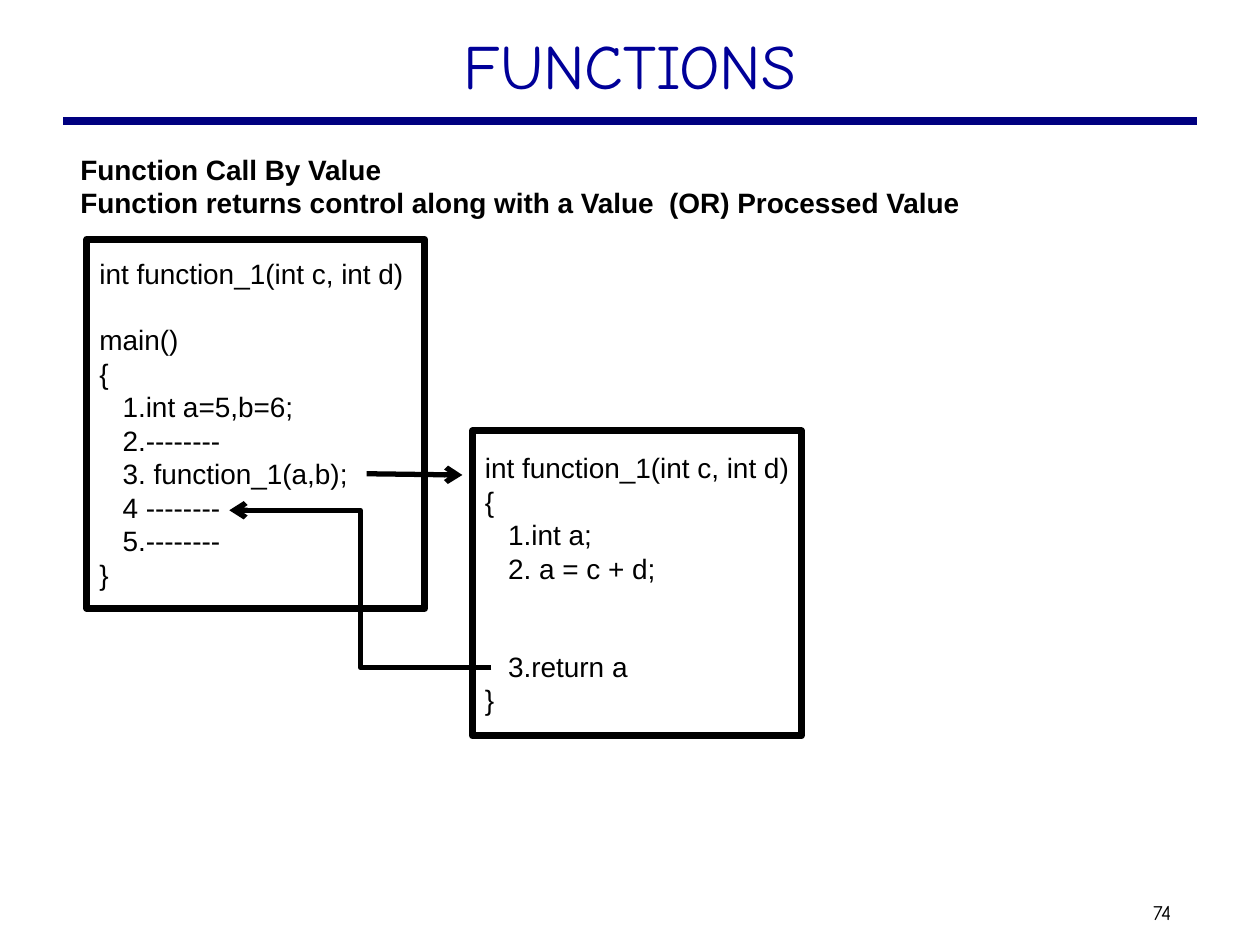
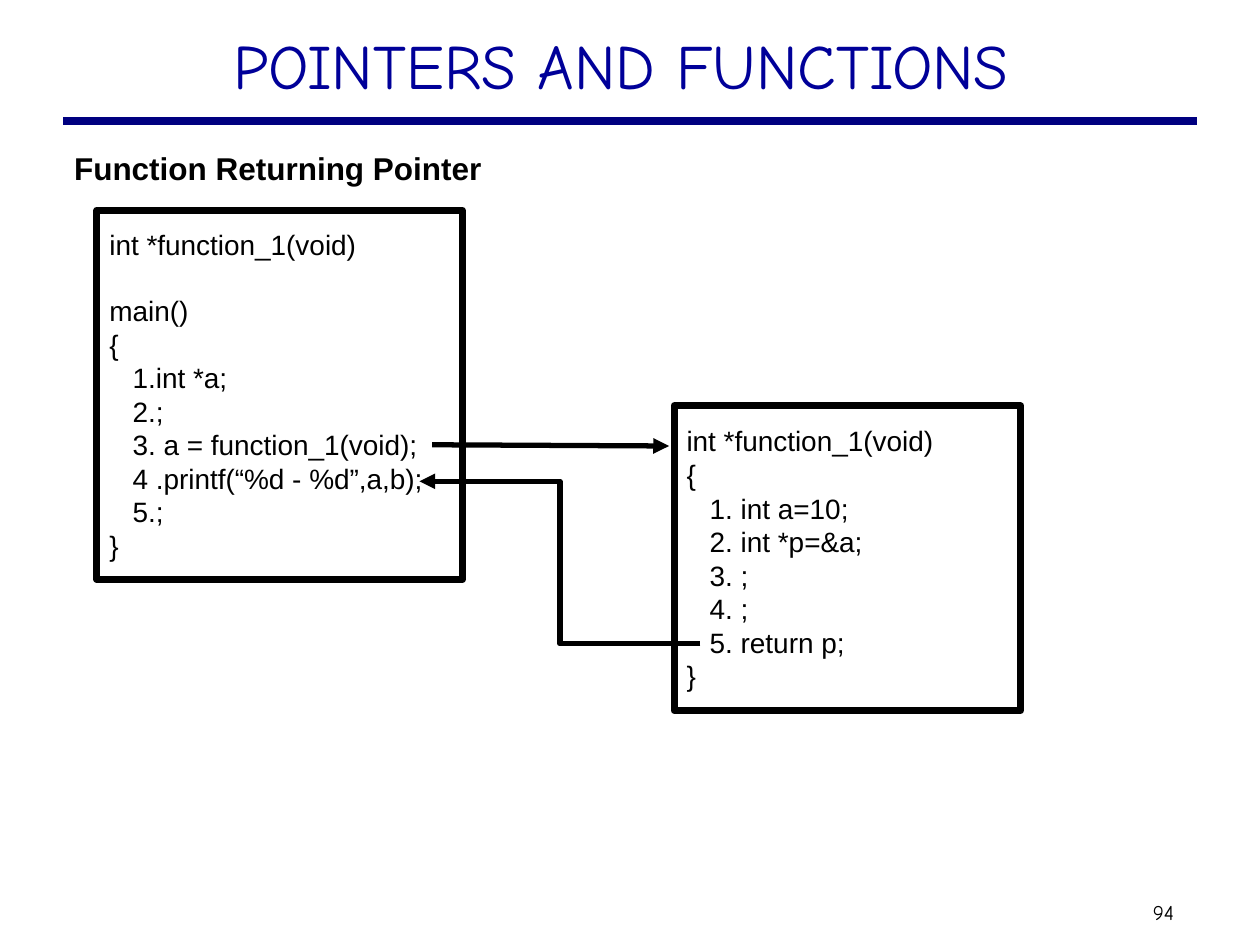
from lxml import etree
from pptx import Presentation
from pptx.dml.color import RGBColor
from pptx.enum.shapes import MSO_CONNECTOR, MSO_SHAPE
from pptx.enum.text import MSO_ANCHOR, PP_ALIGN
from pptx.oxml.ns import qn
from pptx.util import Inches, Pt

BLACK = RGBColor(0x00, 0x00, 0x00)
TITLE_BLUE = RGBColor(0x00, 0x00, 0x99)
RULE_BLUE = RGBColor(0x00, 0x00, 0x80)
BODY_FONT, TITLE_FONT = "Arial", "Comic Neue"
STRAIGHT, ELBOW = MSO_CONNECTOR.STRAIGHT, MSO_CONNECTOR.ELBOW
RECTANGLE = MSO_SHAPE.RECTANGLE
LEFT, CENTER = PP_ALIGN.LEFT, PP_ALIGN.CENTER
TOP, MIDDLE = MSO_ANCHOR.TOP, MSO_ANCHOR.MIDDLE
CODE_SIZE = 16
CODE_LINE = 1.15 * CODE_SIZE  # height of one code line in points

# Content: boxes are (left, top, width, height); an empty code line is a gap
SLIDES = [
    {
        "title": "FUNCTIONS",
        "title_left": 0.75,
        "number": "74",
        "heading": ["Function Call By Value",
                    "Function returns control along with a Value  (OR) Processed Value"],
        "heading_box": (0.54, 1.16, 8.93, 5.91),
        "heading_size": 16,
        "caller_box": (0.69, 1.9, 2.68, 2.93),
        "caller": ["int function_1(int c, int d)",
                   "",
                   "main()",
                   "{",
                   "   1.int a=5,b=6;",
                   "   2.--------",
                   "   3. function_1(a,b);",
                   "   4 --------",
                   "   5.--------",
                   "}"],
        "callee_box": (3.75, 3.42, 2.61, 2.42),
        "callee": ["int function_1(int c, int d)",
                   "{",
                   "   1.int a;",
                   "   2. a = c + d;",
                   "",
                   "",
                   "   3.return a",
                   "}"],
        "call": (2.91, 3.76, 3.67, 3.77),
        "return": (3.9, 5.3, 1.82, 4.05),
        "arrowhead": "arrow",
    },
    {
        "title": "POINTERS AND FUNCTIONS",
        "title_left": 0.68,
        "number": "94",
        "heading": ["Function Returning Pointer"],
        "heading_box": (0.49, 1.13, 9, 5.99),
        "heading_size": 18,
        "caller_box": (0.77, 1.67, 2.9, 2.93),
        "caller": ["int *function_1(void)",
                   "",
                   "main()",
                   "{",
                   "   1.int *a;",
                   "   2.;",
                   "   3. a = function_1(void);",
                   "   4 .printf(“%d - %d”,a,b);",
                   "   5.;",
                   "}"],
        "callee_box": (5.35, 3.22, 2.75, 2.42),
        "callee": ["int *function_1(void)",
                   "{",
                   "   1. int a=10;",
                   "   2. int *p=&a;",
                   "   3. ;",
                   "   4. ;",
                   "   5. return p;",
                   "}"],
        "call": (3.43, 3.53, 5.31, 3.54),
        "return": (5.56, 5.11, 3.33, 3.82),
        "arrowhead": "triangle",
    },
]


def inches(values):
    return [Inches(v) for v in values]


def fill_text(sp, lines, size, font=BODY_FONT, color=BLACK, bold=False,
              align=LEFT, anchor=TOP, wrap=True):
    """Write the lines; empty ones become space before the next line."""
    tf = sp.text_frame
    tf.word_wrap = wrap
    tf.vertical_anchor = anchor
    gap = 0
    p = None
    for line in lines:
        if not line:
            gap += CODE_LINE
            continue
        p = tf.add_paragraph() if p is not None else tf.paragraphs[0]
        p.text = line
        p.alignment = align
        if gap:
            p.space_before = Pt(gap)
            gap = 0
        for r in p.runs:
            r.font.size = Pt(size)
            r.font.name = font
            r.font.bold = bold
            r.font.color.rgb = color
    return tf


def add_text(s, box, lines, size, **style):
    return fill_text(s.shapes.add_textbox(*inches(box)), lines, size, **style)


def add_code_box(s, box, lines):
    sp = s.shapes.add_shape(RECTANGLE, *inches(box))
    sp.shadow.inherit = False
    sp.fill.background()
    sp.line.color.rgb = BLACK
    sp.line.width = Pt(4)
    fill_text(sp, lines, CODE_SIZE, anchor=MIDDLE, wrap=False)


def add_line(s, kind, ends, width, color=BLACK, head=None):
    c = s.shapes.add_connector(kind, *inches(ends))
    c.line.color.rgb = color
    c.line.width = Pt(width)
    sp_pr = c.element.spPr
    if head:
        etree.SubElement(sp_pr.find(qn("a:ln")), qn("a:tailEnd"), type=head)
    etree.SubElement(sp_pr, qn("a:effectLst"))


def add_frame(s, data):
    """Title, rule and page number shared by all slides."""
    add_line(s, STRAIGHT, (0.5, 0.96, 9.5, 0.96), 4.5, RULE_BLUE)
    add_text(s, (data["title_left"], 0.16, 8.5, 0.76), [data["title"]], 36,
             font=TITLE_FONT, color=TITLE_BLUE, align=CENTER)
    tf = add_text(s, (9.1, 7.09, 0.47, 0.3), [data["number"]], 12,
                  font=TITLE_FONT, anchor=MIDDLE)
    tf.margin_left = tf.margin_right = Inches(0.05)


def main():
    prs = Presentation()
    prs.slide_width, prs.slide_height = inches((10, 7.5))
    for data in SLIDES:
        s = prs.slides.add_slide(prs.slide_layouts[6])
        add_frame(s, data)
        add_text(s, data["heading_box"], data["heading"], data["heading_size"], bold=True)
        # Code of the caller and of the called function
        for part in ("caller", "callee"):
            add_code_box(s, data[part + "_box"], data[part])
        # Flow of control there and back
        for part, kind in (("call", STRAIGHT), ("return", ELBOW)):
            add_line(s, kind, data[part], 3, head=data["arrowhead"])
    prs.save("out.pptx")


if __name__ == "__main__":
    main()
